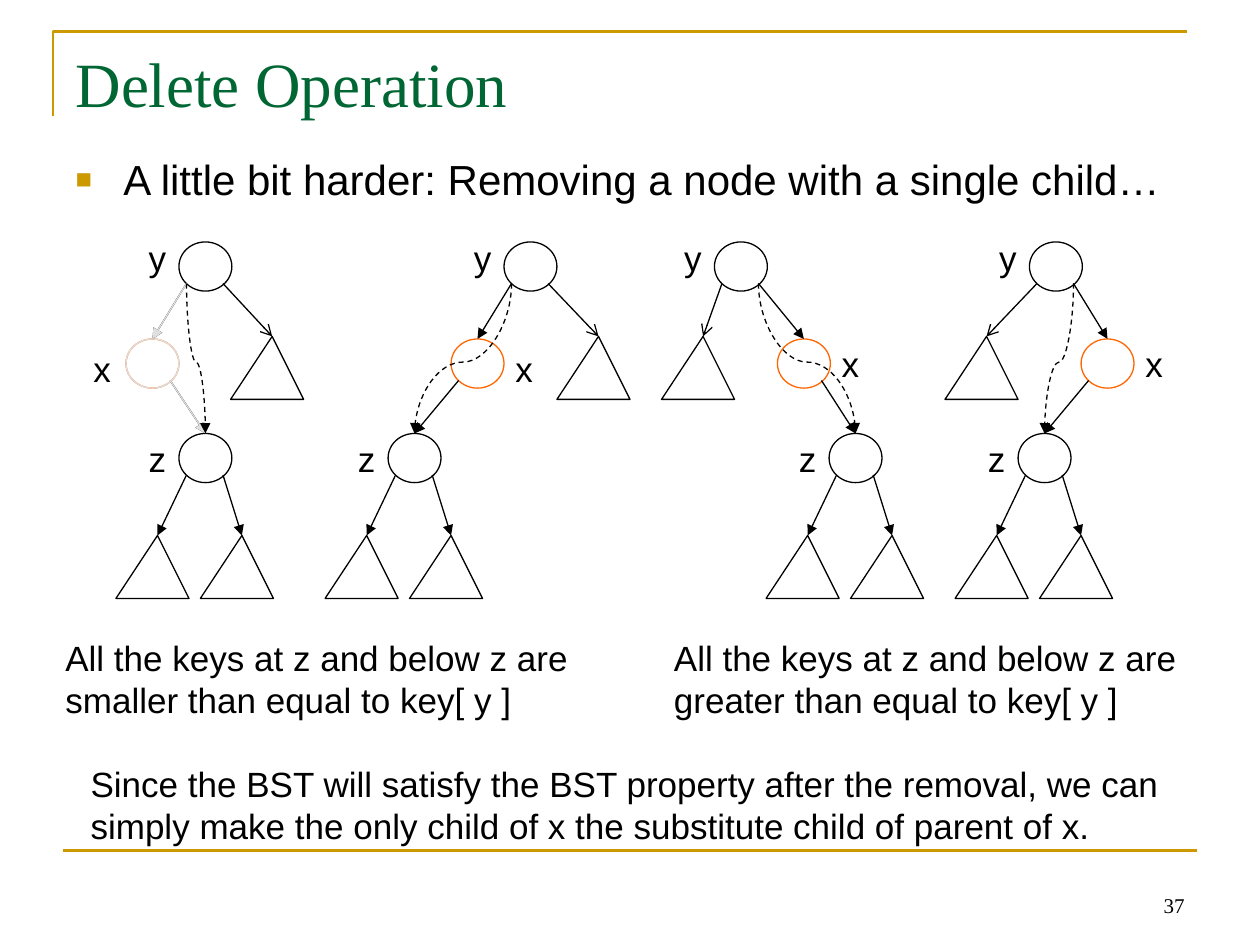
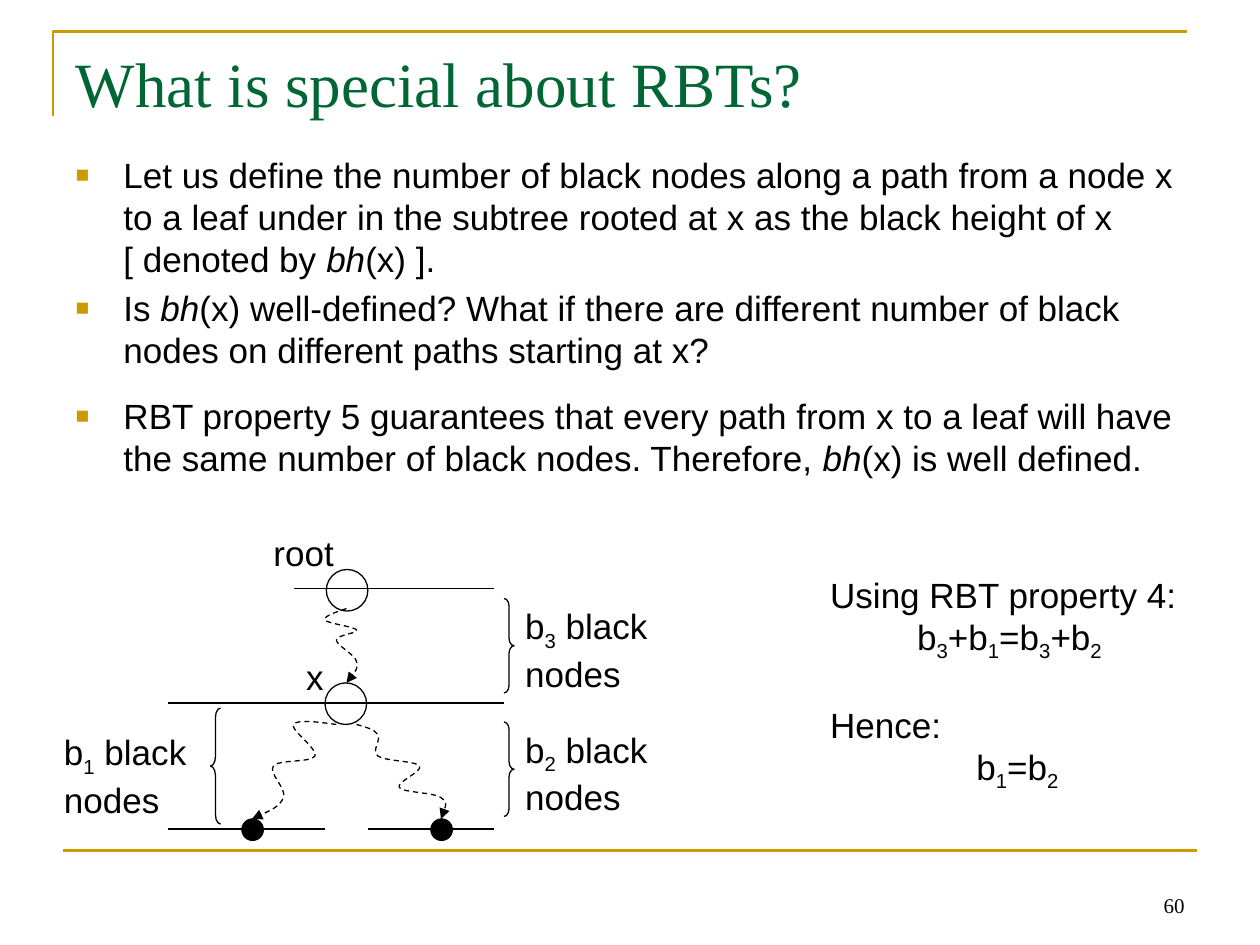
"""Build two lecture slides on deleting tree nodes and on the black height of red-black trees."""
from dataclasses import dataclass

import pptx
import pptx.dml.color
import pptx.enum.dml
import pptx.enum.shapes
import pptx.enum.text
import pptx.oxml
import pptx.oxml.ns
import pptx.util
from pptx.util import Inches, Pt

SHAPE = pptx.enum.shapes.MSO_SHAPE
CONNECTOR = pptx.enum.shapes.MSO_CONNECTOR
ALIGN = pptx.enum.text.PP_ALIGN
ANCHOR = pptx.enum.text.MSO_ANCHOR
FIT = pptx.enum.text.MSO_AUTO_SIZE


@dataclass(frozen=True)
class Theme:
    ink: str = "000000"
    gold: str = "CC9900"
    green: str = "006633"
    orange: str = "FF6600"
    faded: str = "DFDFDF"
    heading_font: str = "Times New Roman"
    text_font: str = "Arial"
    title_size: int = 36
    lead_size: int = 24
    text_size: int = 20
    number_size: int = 12
    thin: float = 0.75
    rule: float = 1.5


THEME = Theme()

DELETE = {
    "title": "Delete Operation",
    "number": "37",
    "bullets": [("A little bit harder: Removing a node with a single child…", 4.8)],
    "bullet_size": THEME.lead_size,
}
DELETE_NOTES = [
    ((0.62, 6, 8.72, 0.77), "Since the BST will satisfy the BST property after the removal, we can "
                            "simply make the only child of x the substitute child of parent of x."),
    ((0.42, 5, 4.25, 0.77), "All the keys at z and below z are smaller than equal to key[ y ]"),
    ((5.25, 5, 4.25, 0.77), "All the keys at z and below z are greater than equal to key[ y ]"),
]
TREES = [
    {"y": 1.42, "x": 1, "z": 1.42, "sibling": 1.83, "x_label": (0.64, 2.71), "removed": True},
    {"y": 4, "x": 3.58, "z": 3.08, "sibling": 4.42, "x_label": (3.99, 2.71), "removed": False},
    {"y": 5.67, "x": 6.17, "z": 6.58, "sibling": 5.25, "x_label": (6.58, 2.67), "removed": False},
    {"y": 8.17, "x": 8.58, "z": 8.08, "sibling": 7.5, "x_label": (8.99, 2.67), "removed": False},
]
NODE = (0.42, 0.39)
Y_TOP, X_TOP, Z_TOP = 1.92, 2.69, 3.44
SIBLING_TOP, SUBTREE_TOP = 2.67, 4.25
LABEL = (0.34, 0.43)

BLACK_HEIGHT = {
    "title": "What is special about RBTs?",
    "number": "60",
    "bullets": [
        ("Let us define the number of black nodes along a path from a node x to a leaf under in the "
         "subtree rooted at x as the black height of x\n[ denoted by |bh|(x) ].", 4),
        ("Is |bh|(x) well-defined? What if there are different number of black nodes on different "
         "paths starting at x?", 4),
        ("RBT property 5 guarantees that every path from x to a leaf will have the same number of "
         "black nodes. Therefore, |bh|(x) is well defined.", 13.5),
    ],
    "bullet_size": THEME.text_size,
}
NODES = [(2.58, 5.42, 0.33, None), (2.59, 4.52, 0.33, None),
         (1.92, 6.5, 0.17, THEME.ink), (3.42, 6.5, 0.17, THEME.ink)]
NODE_LABELS = [((2.33, 5.15, *LABEL), "x"), ((2.07, 4.17, 0.68, 0.43), "root")]
PATHS = [
    [(2.67, 5.75), (2.33, 5.75), (2.5, 6), (2.17, 6.08), (2.25, 6.33), (2, 6.5)],
    [(2.83, 5.75), (3, 5.83), (3, 6), (3.33, 6.08), (3.17, 6.25), (3.5, 6.33), (3.5, 6.5)],
    [(2.75, 4.83), (2.58, 4.92), (2.83, 5), (2.67, 5.08), (2.83, 5.25), (2.75, 5.42)],
]
LEVELS = [(1.33, 4, 5.58), (1.33, 2.58, 6.58), (2.92, 3.92, 6.58), (2.33, 3.92, 4.67)]
BRACES = [
    (SHAPE.RIGHT_BRACE, (4, 4.75, 0.08, 0.75), 0.75),
    (SHAPE.RIGHT_BRACE, (4, 5.73, 0.08, 0.75), 0.75),
    (SHAPE.LEFT_BRACE, (1.67, 5.62, 0.08, 0.92), 0.92),
]
COUNTS = [((4.07, 4.75, 1.27, 0.77), "3"), ((4.07, 5.73, 1.27, 0.77), "2"),
          ((0.41, 5.75, 1.27, 0.77), "1")]
PROOF_BOX = (6.49, 4.5, 2.95, 1.77)
PROOF = [("Using RBT property 4:", 0, 0), ("b|3|+b|1|=b|3|+b|2|", 0.69, 0),
         ("Hence:", 0, 23), ("b|1|=b|2|", 1.16, 0)]


def rgb(value):
    return pptx.dml.color.RGBColor.from_string(value)


def inches(values):
    return [Inches(value) for value in values]


def add_xml(parent, tag, **attributes):
    element = pptx.oxml.parse_xml(f"<a:{tag} {pptx.oxml.ns.nsdecls('a')}/>")
    for key, value in attributes.items():
        element.set(key, str(value))
    parent.append(element)
    return element


def set_font(paragraph, size, family=THEME.text_font, color=THEME.ink):
    font = paragraph.font
    font.size, font.name, font.color.rgb = Pt(size), family, rgb(color)


def write_runs(paragraph, text, mark):
    """Write text, passing every run between bars to mark."""
    for row, line in enumerate(text.split("\n")):
        if row:
            paragraph.add_line_break()
        for order, part in enumerate(line.split("|")):
            if part:
                run = paragraph.add_run()
                run.text = part
                if order % 2:
                    mark(run)


def italic(run):
    run.font.italic = True


def subscript(run):
    run._r.get_or_add_rPr().set("baseline", "-25000")


def set_outline(shape, color=THEME.ink, width=THEME.thin, head=None, dashed=False):
    shape.line.color.rgb = rgb(color)
    shape.line.width = Pt(width)
    if dashed:
        shape.line.dash_style = pptx.enum.dml.MSO_LINE.DASH
    if head:
        add_xml(shape._element.spPr.find(pptx.oxml.ns.qn("a:ln")), "tailEnd", type=head)


def add_outline(slide, kind, box, color=THEME.ink, fill=None):
    shape = slide.shapes.add_shape(kind, *inches(box))
    shape.shadow.inherit = False
    if fill:
        shape.fill.solid()
        shape.fill.fore_color.rgb = rgb(fill)
    else:
        shape.fill.background()
    set_outline(shape, color)
    return shape


def add_line(slide, start, end, kind=CONNECTOR.STRAIGHT, **outline):
    line = slide.shapes.add_connector(kind, *inches(start + end))
    set_outline(line, **outline)
    add_xml(line._element.spPr, "effectLst")
    return line


def add_bypass(slide, start, end):
    """Add a dashed S-curve that leaves and arrives vertically."""
    run, rise = abs(end[0] - start[0]), end[1] - start[1]
    left = (start[0] + end[0] - rise) / 2
    top = (start[1] + end[1] - run) / 2
    near, far = left, left + rise
    to_right = end[0] > start[0]
    if to_right:
        near, far = far, near
    curve = add_line(slide, (near, top), (far, top + run), CONNECTOR.CURVE,
                     head="triangle", dashed=True)
    properties = curve._element.spPr
    properties.xfrm.set("rot", str((270 if to_right else 90) * 60000))
    guides = properties.find(".//" + pptx.oxml.ns.qn("a:avLst"))
    add_xml(guides, "gd", name="adj1", fmla="val 52400")


def add_polygon(slide, points, close=False, **outline):
    corners = [tuple(inches(point)) for point in points]
    builder = slide.shapes.build_freeform(*corners[0])
    builder.add_line_segments(corners[1:], close=close)
    shape = builder.convert_to_shape()
    shape.shadow.inherit = False
    shape.fill.background()
    set_outline(shape, **outline)
    return shape


def between(first, second, share):
    return tuple(a + (b - a) * share for a, b in zip(first, second))


def add_spline(slide, knots):
    """Draw a smooth dashed arrow through the knots."""
    bends = [tuple((c - a) / 6 for a, c in zip(before, after))
             for before, after in zip(knots, knots[2:])]
    leave = {i: tuple(k + b for k, b in zip(knots[i], bend)) for i, bend in enumerate(bends, 1)}
    arrive = {i: tuple(k - b for k, b in zip(knots[i], bend)) for i, bend in enumerate(bends, 1)}
    last = len(knots) - 1
    leave[0] = between(knots[0], arrive[1], 0.5)
    arrive[last] = between(leave[last - 1], knots[last], 0.5)
    points = [knots[0]]
    for i in range(last):
        points += [leave[i], arrive[i + 1], knots[i + 1]]
    shape = add_polygon(slide, points, head="triangle", dashed=True)
    segments = shape._element.findall(".//" + pptx.oxml.ns.qn("a:lnTo"))
    outline_path = segments[0].getparent()
    for i in range(0, len(segments), 3):
        bezier = add_xml(outline_path, "cubicBezTo")
        for segment in segments[i:i + 3]:
            bezier.append(segment[0])
            outline_path.remove(segment)


def add_text(slide, box, lines, align=ALIGN.LEFT, wrap=False):
    """Add a text box of (text, indent, space before) lines."""
    text_box = slide.shapes.add_textbox(*inches(box))
    frame = text_box.text_frame
    frame.word_wrap = wrap
    frame.auto_size = FIT.SHAPE_TO_FIT_TEXT
    for i, (text, indent, gap) in enumerate(lines):
        paragraph = frame.add_paragraph() if i else frame.paragraphs[0]
        paragraph.alignment = align
        paragraph.space_before = Pt(gap)
        if indent:
            paragraph._p.get_or_add_pPr().set("marL", str(Inches(indent)))
        write_runs(paragraph, text, subscript)
        set_font(paragraph, THEME.text_size)


def add_label(slide, box, text):
    add_text(slide, box, [(text, 0, 0)], ALIGN.CENTER)


def place(placeholder, box):
    placeholder.left, placeholder.top, placeholder.width, placeholder.height = inches(box)
    frame = placeholder.text_frame
    frame.vertical_anchor = ANCHOR.TOP
    frame.auto_size = FIT.NONE
    return frame


def add_bullet(paragraph, text, gap, size):
    paragraph.space_before = Pt(gap)
    properties = paragraph._p.get_or_add_pPr()
    properties.set("marL", str(Inches(0.38)))
    properties.set("indent", str(Inches(-0.38)))
    add_xml(add_xml(properties, "buClr"), "srgbClr", val=THEME.gold)
    add_xml(properties, "buSzPct", val=65000)
    add_xml(properties, "buFont", typeface=THEME.text_font)
    add_xml(properties, "buChar", char="■")
    write_runs(paragraph, text, italic)
    set_font(paragraph, size)


def start_slide(deck, content):
    slide = deck.slides.add_slide(deck.slide_layouts[1])
    add_polygon(slide, [(0.42, 0.92), (0.42, 0.25), (9.42, 0.25)], color=THEME.gold, width=THEME.rule)
    add_line(slide, (0.5, 6.75), (9.5, 6.75), color=THEME.gold, width=THEME.rule)
    number = slide.shapes.add_textbox(*inches((7.17, 6.83, 2.33, 0.5))).text_frame
    number.word_wrap, number.vertical_anchor = True, ANCHOR.BOTTOM
    number.text = content["number"]
    number.paragraphs[0].alignment = ALIGN.RIGHT
    set_font(number.paragraphs[0], THEME.number_size, THEME.heading_font)
    title = place(slide.shapes.title, (0.5, 0.3, 9, 1.25))
    title.text = content["title"]
    title.paragraphs[0].alignment = ALIGN.LEFT
    set_font(title.paragraphs[0], THEME.title_size, THEME.heading_font, THEME.green)
    body = place(slide.placeholders[1], (0.5, 1.17, 9, 4.95))
    for i, (text, gap) in enumerate(content["bullets"]):
        paragraph = body.add_paragraph() if i else body.paragraphs[0]
        add_bullet(paragraph, text, gap, content["bullet_size"])
    return slide


def foot(left, top, to_right):
    return left + (0.35 if to_right else 0.06), top + 0.33


def crown(left, top):
    return left + NODE[0] / 2, top


def add_subtree(slide, left, top, parent_foot, head):
    apex = (left + 0.33, top)
    add_polygon(slide, [apex, (left, top + 0.5), (left + 0.58, top + 0.5)], close=True)
    add_line(slide, parent_foot, apex, head=head)


def add_tree(slide, tree):
    y, x, z = tree["y"], tree["x"], tree["z"]
    x_right, z_right = x > y, z > x
    for left, top, name, label_top in ((y, Y_TOP, "y", 1.83), (z, Z_TOP, "z", 3.42)):
        add_outline(slide, SHAPE.OVAL, (left, top, *NODE))
        add_label(slide, (left - 0.34, label_top, *LABEL), name)
    add_label(slide, (*tree["x_label"], *LABEL), "x")
    stages = [(THEME.orange, THEME.ink)] + [(THEME.faded, THEME.faded)] * tree["removed"]
    for ring, edge in stages:
        add_outline(slide, SHAPE.OVAL, (x, X_TOP, *NODE), ring)
        add_line(slide, foot(y, Y_TOP, x_right), crown(x, X_TOP), color=edge, head="triangle")
        add_line(slide, foot(x, X_TOP, z_right), crown(z, Z_TOP), color=edge, head="triangle")
    for right, shift in ((False, -0.5), (True, 0.17)):
        add_subtree(slide, z + shift, SUBTREE_TOP, foot(z, Z_TOP, right), "triangle")
    add_subtree(slide, tree["sibling"], SIBLING_TOP, foot(y, Y_TOP, not x_right), "arrow")
    add_bypass(slide, foot(y, Y_TOP, x_right), crown(z, Z_TOP))


def build_delete(deck):
    slide = start_slide(deck, DELETE)
    for box, note in DELETE_NOTES:
        add_text(slide, box, [(note, 0, 0)], wrap=True)
    for tree in TREES:
        add_tree(slide, tree)


def build_black_height(deck):
    slide = start_slide(deck, BLACK_HEIGHT)
    for left, top, size, fill in NODES:
        add_outline(slide, SHAPE.OVAL, (left, top, size, size), fill=fill)
    for box, name in NODE_LABELS:
        add_label(slide, box, name)
    for knots in PATHS:
        add_spline(slide, knots)
    for left, right, level in LEVELS:
        add_line(slide, (left, level), (right, level))
    for kind, box, curl in BRACES:
        add_outline(slide, kind, box).adjustments[0] = curl
    for box, index in COUNTS:
        add_text(slide, box, [(f"b|{index}| black", 0, 0), ("nodes", 0, 0)])
    add_text(slide, PROOF_BOX, PROOF)


def main():
    deck = pptx.Presentation()
    deck.slide_width, deck.slide_height = Inches(10), Inches(7.5)
    build_delete(deck)
    build_black_height(deck)
    deck.save("out.pptx")


if __name__ == "__main__":
    main()
